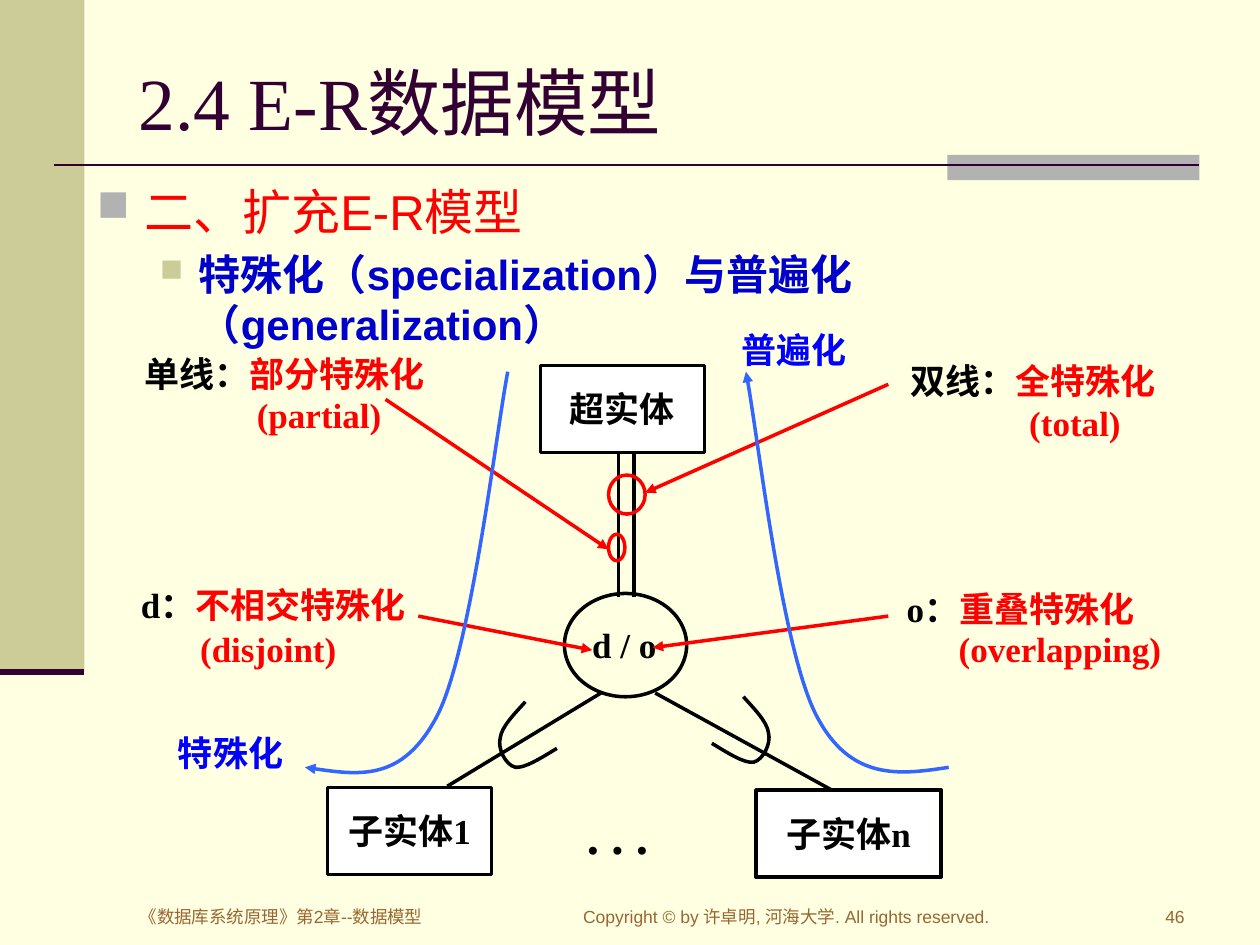
from lxml import etree
from pptx import Presentation
from pptx import util as u
from pptx.dml.color import RGBColor
from pptx.enum import shapes, text
from pptx.oxml import ns

CELL = u.Inches(0.1)
COLS, ROWS = 100, 75
SERIF, SANS = "Times New Roman", "Arial"
LEFT, CENTER, RIGHT = text.PP_ALIGN.LEFT, text.PP_ALIGN.CENTER, text.PP_ALIGN.RIGHT
RECT, OVAL = shapes.MSO_SHAPE.RECTANGLE, shapes.MSO_SHAPE.OVAL
COLORS = {
    "paper": "FFFFE1", "khaki": "CCCC99", "grey": "B2B2B2", "plum": "330033",
    "red": "FF0000", "navy": "0000CC", "blue": "0000FF", "sky": "3366FF",
    "black": "000000", "white": "FFFFFF", "brown": "996633",
}


def rgb(name):
    """Return the named colour."""
    return RGBColor.from_string(COLORS[name])


def spot(box, x, y):
    """Turn grid cells inside a box into slide lengths."""
    return int((box[0] + x) * CELL), int((box[1] + y) * CELL)


def area(box, x, y, w, h):
    """Turn a grid rectangle inside a box into slide lengths."""
    return (*spot(box, x, y), int(w * CELL), int(h * CELL))


def write(p, parts, size, font=SERIF, bold=False, align=LEFT):
    """Fill a paragraph with (text, colour) runs."""
    p.alignment = align
    for words, color in parts:
        r = p.add_run()
        r.text = words
        r.font.size, r.font.name, r.font.bold = u.Pt(size), font, bold
        r.font.color.rgb = rgb(color)


def label(s, box, at, parts, size=20, font=SERIF, bold=True, align=CENTER,
          anchor=text.MSO_ANCHOR.TOP, wrap=True):
    """Add a one-paragraph text box."""
    tf = s.shapes.add_textbox(*area(box, *at)).text_frame
    tf.word_wrap, tf.vertical_anchor = wrap, anchor
    write(tf.paragraphs[0], parts, size, font, bold, align)


def outline(sp, fill, line, width=2):
    """Set the fill and line of a shape, either of which may be None."""
    sp.shadow.inherit = False
    if fill:
        sp.fill.solid()
        sp.fill.fore_color.rgb = rgb(fill)
    else:
        sp.fill.background()
    if line:
        sp.line.color.rgb, sp.line.width = rgb(line), u.Pt(width)
    else:
        sp.line.fill.background()


def shape(s, box, kind, at, fill=None, line=None):
    """Add a preset shape."""
    sp = s.shapes.add_shape(kind, *area(box, *at))
    outline(sp, fill, line)
    return sp


def point_end(sp):
    """Put a triangle at the end of a line."""
    ln = sp.element.spPr.find(ns.qn("a:ln"))
    etree.SubElement(ln, ns.qn("a:tailEnd"), type="triangle")


def line(s, box, start, end, color="black", width=2, arrow=False):
    """Add a straight line."""
    sp = s.shapes.add_connector(shapes.MSO_CONNECTOR.STRAIGHT,
                                *spot(box, *start), *spot(box, *end))
    sp.line.color.rgb, sp.line.width = rgb(color), u.Pt(width)
    if arrow:
        point_end(sp)
    etree.SubElement(sp.element.spPr, ns.qn("a:effectLst"))


def curve(s, box, points, color="black", arrow=False):
    """Add a cubic curve through a start and triples of control points."""
    first, *rest = [spot(box, *pt) for pt in points]
    builder = s.shapes.build_freeform(*first, scale=1.0)
    builder.add_line_segments(rest, close=False)
    sp = builder.convert_to_shape()
    steps = list(sp.element.iter(ns.qn("a:lnTo")))
    for i in range(0, len(steps), 3):
        bend = etree.Element(ns.qn("a:cubicBezTo"))
        steps[i].addprevious(bend)
        for step in steps[i:i + 3]:
            bend.append(step[0])
            step.getparent().remove(step)
    outline(sp, None, color)
    if arrow:
        point_end(sp)


def mirror(points, total, drop=0):
    """Reflect points across a vertical axis and shift them down."""
    return [(total - x, y + drop) for x, y in points]


def add_frame(s, box):
    """Draw the side band and the title rule."""
    shape(s, box, RECT, (0, 0, 6.7, 53.3), "khaki")
    shape(s, box, RECT, (75.2, 12.3, 20, 2), "grey")
    line(s, box, (4.3, 13.1), (95.2, 13.1), "plum", 1.5)
    line(s, box, (0, 53.3), (6.7, 53.3), "plum", 3.5)


def add_title(s, box):
    """Place and format the title."""
    sp = s.shapes.title
    sp.left, sp.top, sp.width, sp.height = area(box, 0, 0, *box[2:])
    tf = sp.text_frame
    tf.auto_size, tf.vertical_anchor = text.MSO_AUTO_SIZE.NONE, text.MSO_ANCHOR.MIDDLE
    write(tf.paragraphs[0], [("2.4 E-R数据模型", "plum")], 42)


def add_outline(s, box):
    """Write the two bulleted headings."""
    tf = s.shapes.add_textbox(*area(box, 0, 0, *box[2:])).text_frame
    tf.word_wrap = True
    headings = [
        ("二、扩充E-R模型", "red", 28, False, "grey", 90, 0.38, 0.38),
        ("特殊化（specialization）与普遍化（generalization）", "navy", 24, True,
         "khaki", 75, 0.81, 0.31),
    ]
    for i, (words, color, size, bold, dot, share, margin, hang) in enumerate(headings):
        p = tf.add_paragraph() if i else tf.paragraphs[0]
        p.level = i
        if i:
            p.space_before = u.Pt(size * 0.2)
        pr = p._p.get_or_add_pPr()
        pr.set("marL", str(u.Inches(margin)))
        pr.set("indent", str(-u.Inches(hang)))
        tint = etree.SubElement(pr, ns.qn("a:buClr"))
        etree.SubElement(tint, ns.qn("a:srgbClr"), val=COLORS[dot])
        etree.SubElement(pr, ns.qn("a:buSzPct"), val=str(share * 1000))
        etree.SubElement(pr, ns.qn("a:buChar"), char="■")
        write(p, [(words, color)], size, SANS, bold)


def add_entities(s, box):
    """Draw the entities, the d / o node and the links between them."""
    entities = [("超实体", (33.9, 4, 13, 6.9)), ("子实体1", (17, 37.5, 13, 6.9)),
                ("子实体n", (51, 37.7, 14.7, 6.9))]
    for name, at in entities:
        tf = shape(s, box, RECT, at, "white", "black").text_frame
        tf.word_wrap, tf.vertical_anchor = False, text.MSO_ANCHOR.MIDDLE
        write(tf.paragraphs[0], [(name, "black")], 20, bold=True, align=CENTER)
    label(s, box, (34.9, 22.7, 11.3, 6.9), [("d / o", "black")],
          anchor=text.MSO_ANCHOR.MIDDLE)
    shape(s, box, OVAL, (35.8, 22.1, 9.7, 8.2), line="black")
    line(s, box, (38.7, 30), (26.5, 37.4))
    line(s, box, (43, 30), (57, 37.7))
    for x in (40.1, 41.3):
        line(s, box, (x, 22.4), (x, 10.9))
    fork = [(32.7, 30.7), (31.8, 31.7), (30.8, 32.7), (30.7, 33.6), (30.5, 34.4),
            (31.1, 35.7), (31.9, 35.9), (32.6, 36), (33.9, 35.2), (35.2, 34.4)]
    curve(s, box, fork)
    curve(s, box, mirror(fork, 82.7, -0.4))
    label(s, box, (36.6, 38.4, 7, 5.9), [(". . .", "black")], 28, align=LEFT, wrap=False)


def add_notes(s, box):
    """Add the explanations, their arrows and the two direction curves."""
    for at in ((39.3, 12.7, 2.9, 3.1), (39.3, 17.4, 1.3, 2.1)):
        shape(s, box, OVAL, at, line="red")
    arrows = [((61.5, 5.5), (42.2, 14.1)), ((21.6, 6.7), (39.3, 18.6)),
              ((24.2, 23.9), (38, 26.6)), ((61.5, 23.9), (42.8, 26.4))]
    for start, end in arrows:
        line(s, box, start, end, "red", arrow=True)
    notes = [
        ("单线：", "部分特殊化", (0.7, 2.5, 25.8, 4.2), "(partial)", (10.4, 5.7, 14.6, 4.2)),
        ("双线：", "全特殊化", (60, 3, 26, 4.8), "(total)", (71.7, 6.4, 11.3, 4.2)),
        ("d：", "不相交特殊化", (0.1, 20.8, 25.2, 4.8), "(disjoint)", (5.9, 24.3, 17.6, 4.2)),
        ("o：", "重叠特殊化", (60.5, 21.1, 23, 4.6), "(overlapping)", (66.1, 24.3, 19, 4.2)),
    ]
    for sign, meaning, at, english, below in notes:
        label(s, box, at, [(sign, "black"), (meaning, "red")])
        label(s, box, below, [(english, "red")], align=LEFT)
    upward = [(66.3, 35.9), (62.4, 36.5), (58.5, 37), (55.8, 31.8),
              (53.1, 26.6), (51.1, 9.1), (50.2, 4.5)]
    curve(s, box, upward, "sky", True)
    curve(s, box, mirror(upward[::-1], 81.5), "sky", True)
    label(s, box, (2.4, 32.6, 13.8, 6.9), [("特殊化", "blue")])
    label(s, box, (47.6, 0.6, 12.9, 4.7), [("普遍化", "blue")])


def add_footer(s, box):
    """Write the book title, the copyright line and the page number."""
    items = [("《数据库系统原理》第2章--数据模型", 0, 32.1, LEFT),
             ("Copyright © by 许卓明, 河海大学. All rights reserved.", 35.2, 35.4, LEFT),
             ("46", 77.7, 7.2, RIGHT)]
    for words, x, w, align in items:
        label(s, box, (x, 0, w, box[3]), [(words, "brown")], 10, SANS, False, align)


def main():
    """Build the slide and save it."""
    prs = Presentation()
    prs.slide_width, prs.slide_height = COLS * CELL, ROWS * CELL
    s = prs.slides.add_slide(prs.slide_layouts[5])
    s.background.fill.solid()
    s.background.fill.fore_color.rgb = rgb("paper")
    diagram = (9, 25, 86, 45)
    add_frame(s, (0, 0, COLS, ROWS))
    add_title(s, (10, 3, 85, 10.1))
    add_outline(s, (6.7, 13.9, 90.6, 11.9))
    add_entities(s, diagram)
    add_notes(s, diagram)
    add_footer(s, (10.1, 71.4, 85, 3.1))
    prs.save("out.pptx")


if __name__ == "__main__":
    main()
